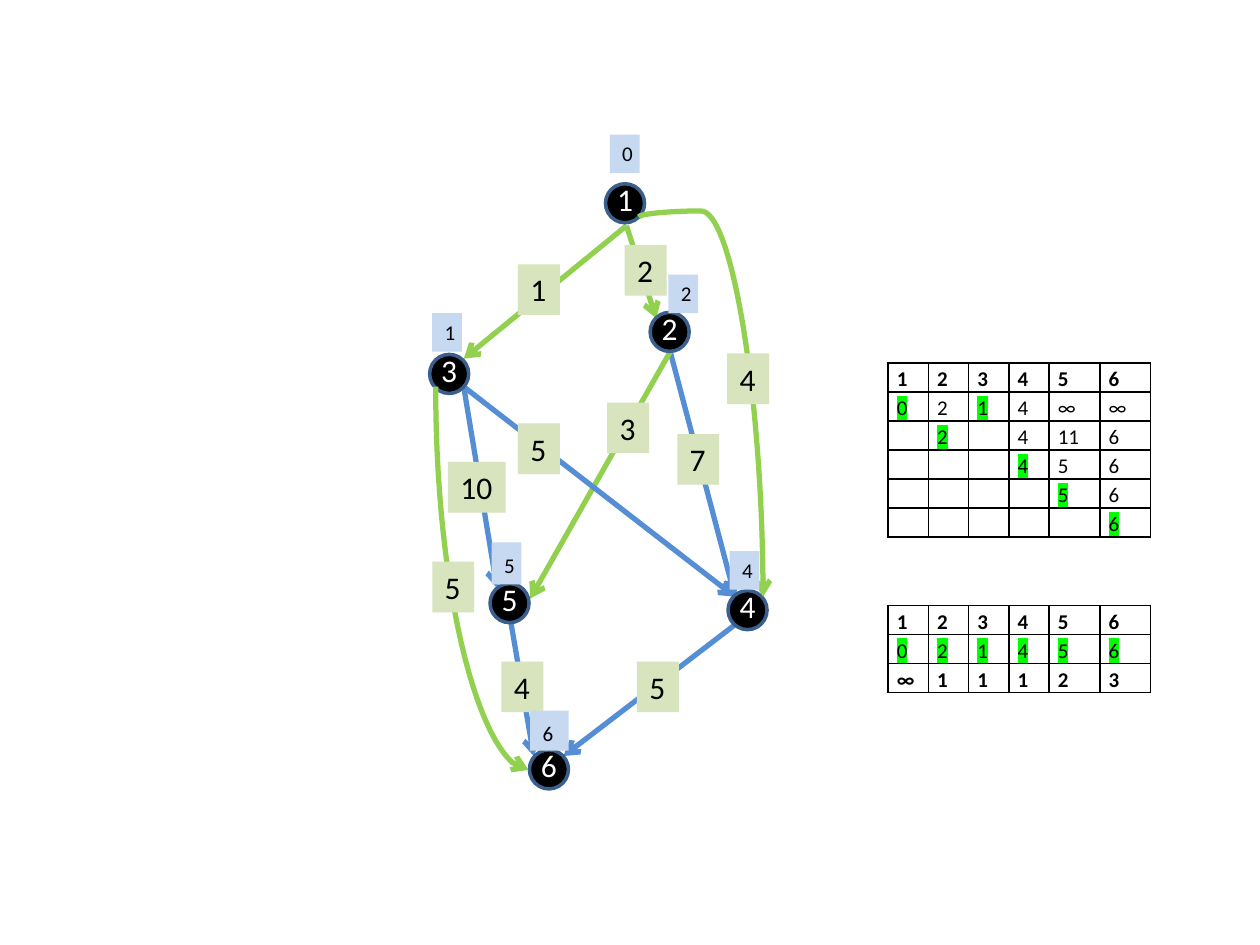
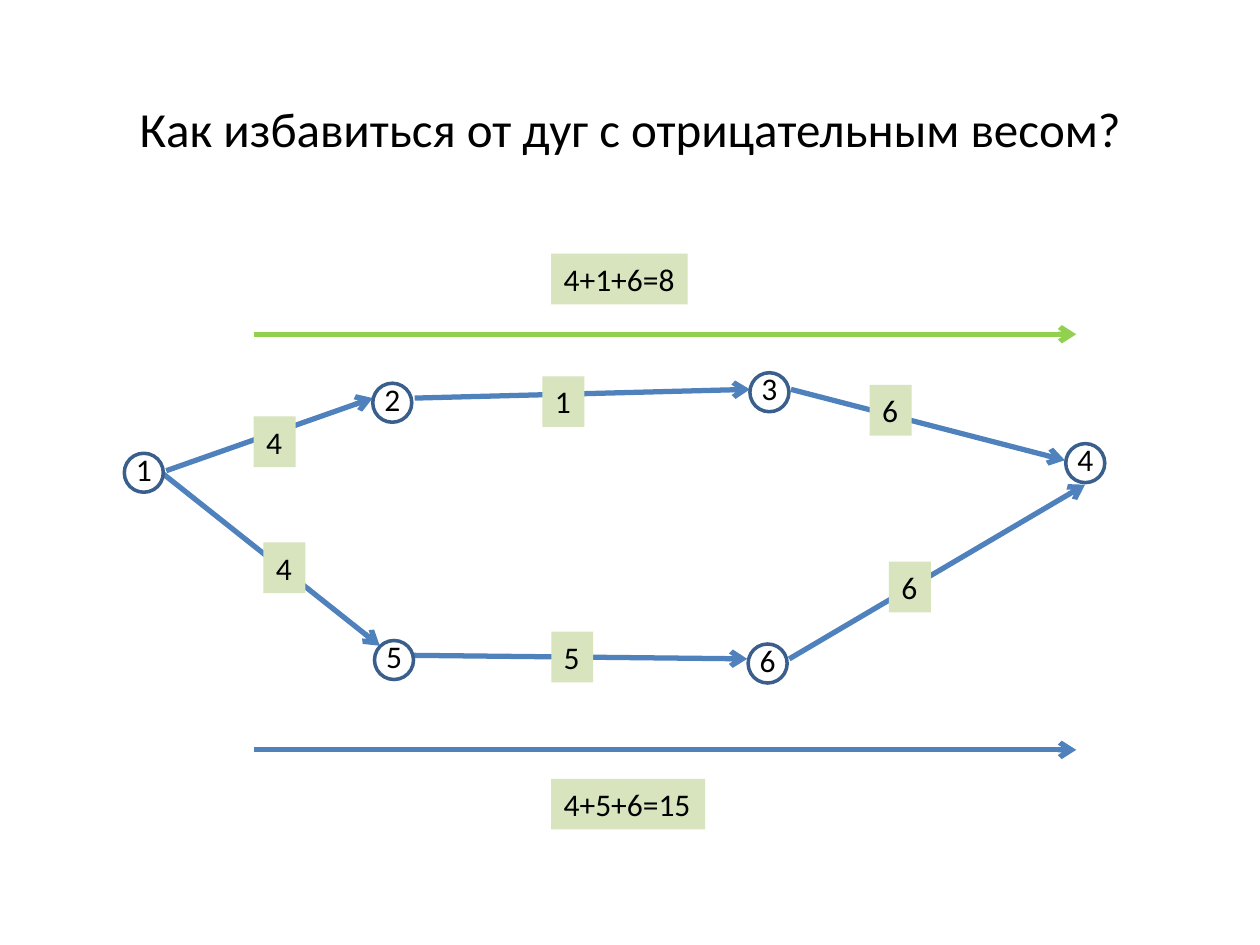
from lxml import etree
from pptx import Presentation
from pptx.dml.color import RGBColor
from pptx.enum.shapes import MSO_CONNECTOR, MSO_SHAPE
from pptx.enum.text import MSO_ANCHOR, MSO_AUTO_SIZE, PP_ALIGN
from pptx.oxml.ns import qn
from pptx.util import Pt

FONT = "Calibri"
BLACK = RGBColor(0x00, 0x00, 0x00)
WHITE = RGBColor(0xFF, 0xFF, 0xFF)
OUTLINE = RGBColor(0x3A, 0x5F, 0x8C)
BLUE = RGBColor(0x4F, 0x81, 0xBD)
LIGHT_BLUE = RGBColor(0x55, 0x8E, 0xD5)
GREEN = RGBColor(0x92, 0xD0, 0x50)
WEIGHT_FILL = RGBColor(0xD7, 0xE4, 0xBD)
DISTANCE_FILL = RGBColor(0xC6, 0xD9, 0xF1)
MARK = RGBColor(0x00, 0xFF, 0x00)

NODE_SIZE = 22.3
LABEL_HEIGHT = 29
LABEL_WIDTHS = {1: 24, 2: 33, 7: 78, 8: 88}  # by number of characters


class GraphDeck:
    """Holds the shared style and the slide being filled."""

    def __init__(self):
        self.prs = Presentation()
        self.prs.slide_width, self.prs.slide_height = Pt(720), Pt(540)
        self.s = None

    def add_slide(self, title=None):
        layout = self.prs.slide_layouts[5 if title else 6]
        self.s = self.prs.slides.add_slide(layout)
        if title:
            self.title(title)

    def title(self, text):
        sp = self.s.shapes.title
        sp.left, sp.top, sp.width, sp.height = Pt(54), Pt(15), Pt(612), Pt(116)
        tf = sp.text_frame
        tf.text = text
        tf.auto_size = MSO_AUTO_SIZE.NONE
        tf.vertical_anchor = MSO_ANCHOR.MIDDLE
        p = tf.paragraphs[0]
        p.alignment = PP_ALIGN.CENTER
        pPr = p._p.get_or_add_pPr()
        pPr.set("marL", str(Pt(40)))
        pPr.set("indent", str(Pt(-40)))
        self.style(p, 28)

    def style(self, p, size, color=BLACK, bold=False):
        for r in p.runs:
            r.font.name, r.font.size, r.font.bold = FONT, Pt(size), bold
            r.font.color.rgb = color

    def box(self, text, x, y, w, h, size, color=BLACK, fill=None, wrap=False):
        sp = self.s.shapes.add_textbox(Pt(x), Pt(y), Pt(w), Pt(h))
        if fill is not None:
            sp.fill.solid()
            sp.fill.fore_color.rgb = fill
        tf = sp.text_frame
        tf.text = text
        tf.word_wrap = wrap
        tf.auto_size = MSO_AUTO_SIZE.SHAPE_TO_FIT_TEXT
        p = tf.paragraphs[0]
        self.style(p, size, color)
        return p

    def weight(self, text, x, y):
        self.box(text, x, y, LABEL_WIDTHS[len(text)], LABEL_HEIGHT, 18,
                 fill=WEIGHT_FILL)

    def distance(self, text, x, y, w=17, h=22, loose=False):
        p = self.box(text, x, y, w, h, 12, fill=DISTANCE_FILL, wrap=True)
        if loose:
            p.line_spacing, p.space_after = 1.15, Pt(10)

    def node(self, name, x, y, fill, color):
        sp = self.s.shapes.add_shape(MSO_SHAPE.OVAL, Pt(x), Pt(y),
                                     Pt(NODE_SIZE), Pt(NODE_SIZE))
        sp.shadow.inherit = False
        sp.fill.solid()
        sp.fill.fore_color.rgb = fill
        sp.line.color.rgb = OUTLINE
        sp.line.width = Pt(2)
        self.box(name, x - 0.5, y - 5.5, 24, LABEL_HEIGHT, 18, color)

    def arrow(self, start, end, color, kind=MSO_CONNECTOR.STRAIGHT):
        c = self.s.shapes.add_connector(kind, *map(Pt, start + end))
        c.line.color.rgb = color
        c.line.width = Pt(3)
        etree.SubElement(c.line._get_or_add_ln(), qn("a:tailEnd"), type="arrow")
        etree.SubElement(c._element.spPr, qn("a:effectLst"))
        return c

    def curve(self, start, end, color, preset, bend=None):
        """A curve that leaves vertically: drawn sideways, turned by 270°."""
        (x1, y1), (x2, y2) = start, end
        cx, cy = (x1 + x2) / 2, (y1 + y2) / 2
        half_w, half_h = (y2 - y1) / 2, (x2 - x1) / 2
        c = self.arrow((cx + half_w, cy - half_h), (cx - half_w, cy + half_h),
                       color, MSO_CONNECTOR.CURVE)
        spPr = c._element.spPr
        spPr.find(qn("a:xfrm")).set("rot", str(270 * 60000))
        geom = spPr.find(qn("a:prstGeom"))
        geom.set("prst", preset)
        if bend is not None:
            etree.SubElement(geom.find(qn("a:avLst")), qn("a:gd"),
                             name="adj1", fmla=f"val {bend}")

    def table(self, x, y, rows, bold_rows):
        """Cells that end with * are highlighted."""
        widths, row_height = (23, 23, 23, 23, 29, 29), 16.6
        frame = self.s.shapes.add_table(len(rows), len(widths), Pt(x), Pt(y),
                                        Pt(sum(widths)), Pt(row_height * len(rows)))
        tbl = frame.table
        tbl.first_row = tbl.horz_banding = False
        for col, width in zip(tbl.columns, widths):
            col.width = Pt(width)
        for i, row in enumerate(rows):
            tbl.rows[i].height = Pt(row_height)
            for j, text in enumerate(row):
                self.cell(tbl.cell(i, j), text, i in bold_rows)

    def cell(self, cell, text, bold):
        cell.margin_left = cell.margin_right = Pt(5)
        cell.margin_top = cell.margin_bottom = 0
        tcPr = cell._tc.get_or_add_tcPr()
        for side in ("lnL", "lnR", "lnT", "lnB"):
            ln = etree.SubElement(tcPr, qn(f"a:{side}"), w=str(Pt(1)))
            solid = etree.SubElement(ln, qn("a:solidFill"))
            etree.SubElement(solid, qn("a:srgbClr"), val=str(BLACK))
        cell.fill.background()
        p = cell.text_frame.paragraphs[0]
        p.line_spacing, p.space_after = 1.15, Pt(10)
        if not text:
            etree.SubElement(p._p, qn("a:endParaRPr"), sz="1200")
            return
        p.text = text.rstrip("*")
        self.style(p, 12, bold=bold)
        if text.endswith("*"):
            rPr = p.runs[0]._r.get_or_add_rPr()
            highlight = etree.Element(qn("a:highlight"))
            etree.SubElement(highlight, qn("a:srgbClr"), val=str(MARK))
            rPr.find(qn("a:solidFill")).addnext(highlight)


def shortest_paths(deck):
    deck.add_slide()

    # Edges: start, end, colour, weight, place of the weight
    edges = [
        ((420, 357), (322, 432), LIGHT_BLUE, "5", (364, 378)),
        ((383, 201), (420, 341), LIGHT_BLUE, "7", (387, 248)),
        ((383, 201), (303, 342), GREEN, "3", (347, 230)),
        ((358, 129), (375, 182), GREEN, "2", (357, 140)),
        ((265, 221), (284, 336), LIGHT_BLUE, "10", (256, 264)),
        ((358, 129), (265, 205), GREEN, "1", (296, 151)),
        ((292, 356), (305, 432), LIGHT_BLUE, "4", (286.5, 378)),
        ((265, 221), (420, 341), LIGHT_BLUE, "5", (296, 242)),
    ]
    for start, end, color, _, _ in edges:
        deck.arrow(start, end, color)

    # Nodes
    nodes = [(346, 105), (371.5, 178.5), (245.5, 202.5),
             (416, 337.5), (280, 333.5), (302.5, 428.5)]
    for number, (x, y) in enumerate(nodes, 1):
        deck.node(str(number), x, y, BLACK, WHITE)

    # Curved edges
    deck.curve((365, 124), (436, 341), GREEN, "curvedConnector3", -1600)
    deck.curve((249, 221), (302, 440), GREEN, "curvedConnector2")

    # Edge weights
    for _, _, _, weight, place in edges:
        deck.weight(weight, *place)
    deck.weight("4", 415.5, 202)
    deck.weight("5", 247, 321)

    # Distances from node 1
    for text, x, y in [("1", 247, 179), ("2", 382, 157),
                       ("4", 417, 315), ("0", 348.5, 77)]:
        deck.distance(text, x, y)
    deck.distance("6", 303, 406, 22, 23, loose=True)
    deck.distance("5", 281, 310, 17, 24, loose=True)

    # Steps, then distances with predecessors
    header = ["1", "2", "3", "4", "5", "6"]
    deck.table(507.5, 207.5, [
        header,
        ["0*", "2", "1*", "4", "∞", "∞"],
        ["", "2*", "", "4", "11", "6"],
        ["", "", "", "4*", "5", "6"],
        ["", "", "", "", "5*", "6"],
        ["", "", "", "", "", "6*"],
    ], bold_rows={0})
    deck.table(507.5, 346, [
        header,
        ["0*", "2*", "1*", "4*", "5*", "6*"],
        ["∞", "1", "1", "1", "2", "3"],
    ], bold_rows={0, 2})


def negative_weights(deck):
    deck.add_slide("Как избавиться от дуг с отрицательным весом?")

    # Edges: start, end, weight, place of the weight
    edges = [
        ((95, 269), (213, 227.5), "4", (145, 238)),
        ((237, 227.5), (428.5, 222.5), "1", (310, 215)),
        ((452, 222.5), (608.5, 263), "6", (497, 220)),
        ((93.5, 271), (217, 369), "4", (150.5, 310)),
        ((236, 374.5), (427, 376.5), "5", (315, 361)),
        ((451, 376.5), (620, 277), "6", (508, 321)),
    ]
    for start, end, _, _ in edges:
        deck.arrow(start, end, BLUE)

    # Nodes
    nodes = [(71, 259), (213, 219), (428.5, 213),
             (609, 253.5), (214, 366), (427.5, 368)]
    for number, (x, y) in enumerate(nodes, 1):
        deck.node(str(number), x, y, WHITE, BLACK)

    # Edge weights
    for _, _, weight, place in edges:
        deck.weight(weight, *place)

    # Path totals
    for total, label_y, arrow_y, color in [("4+1+6=8", 145, 191, GREEN),
                                           ("4+5+6=15", 445, 428.5, BLUE)]:
        deck.arrow((145, arrow_y), (615, arrow_y), color)
        deck.weight(total, 315, label_y)


def main():
    deck = GraphDeck()
    shortest_paths(deck)
    negative_weights(deck)
    deck.prs.save("out.pptx")


if __name__ == "__main__":
    main()
